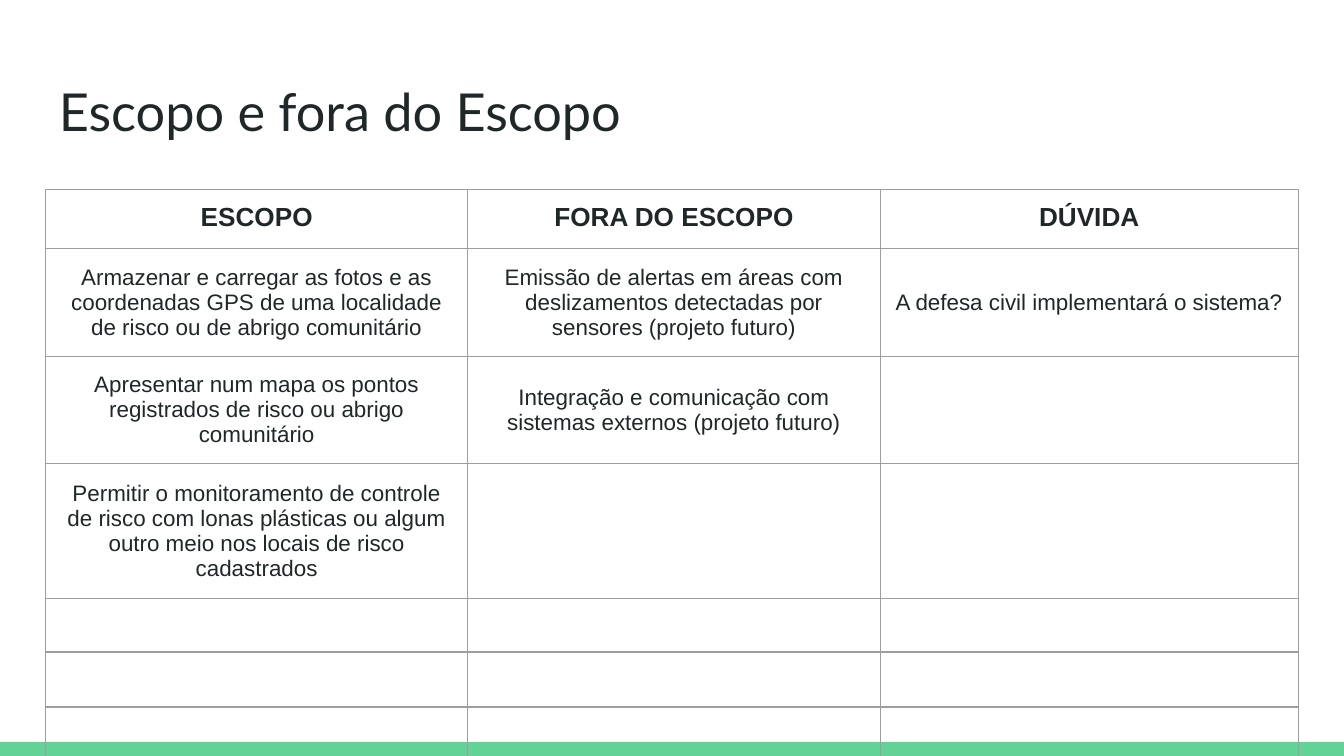
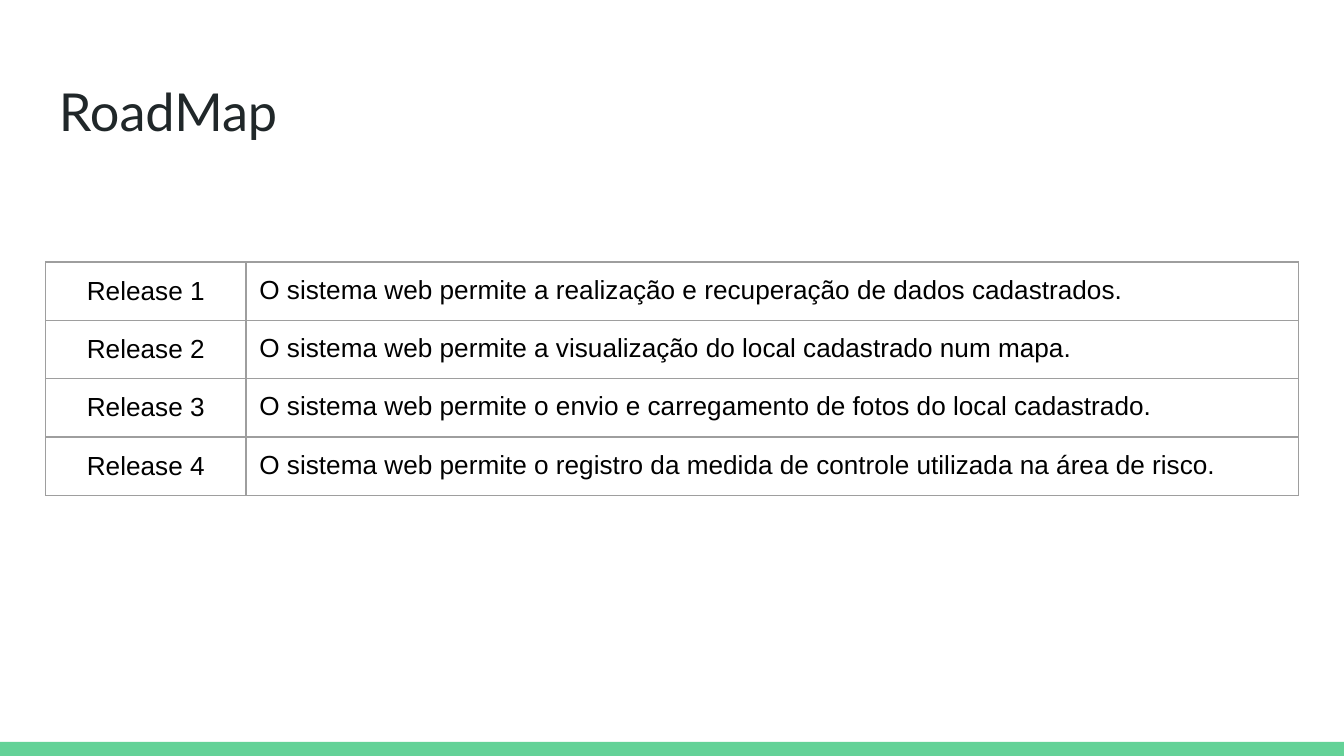
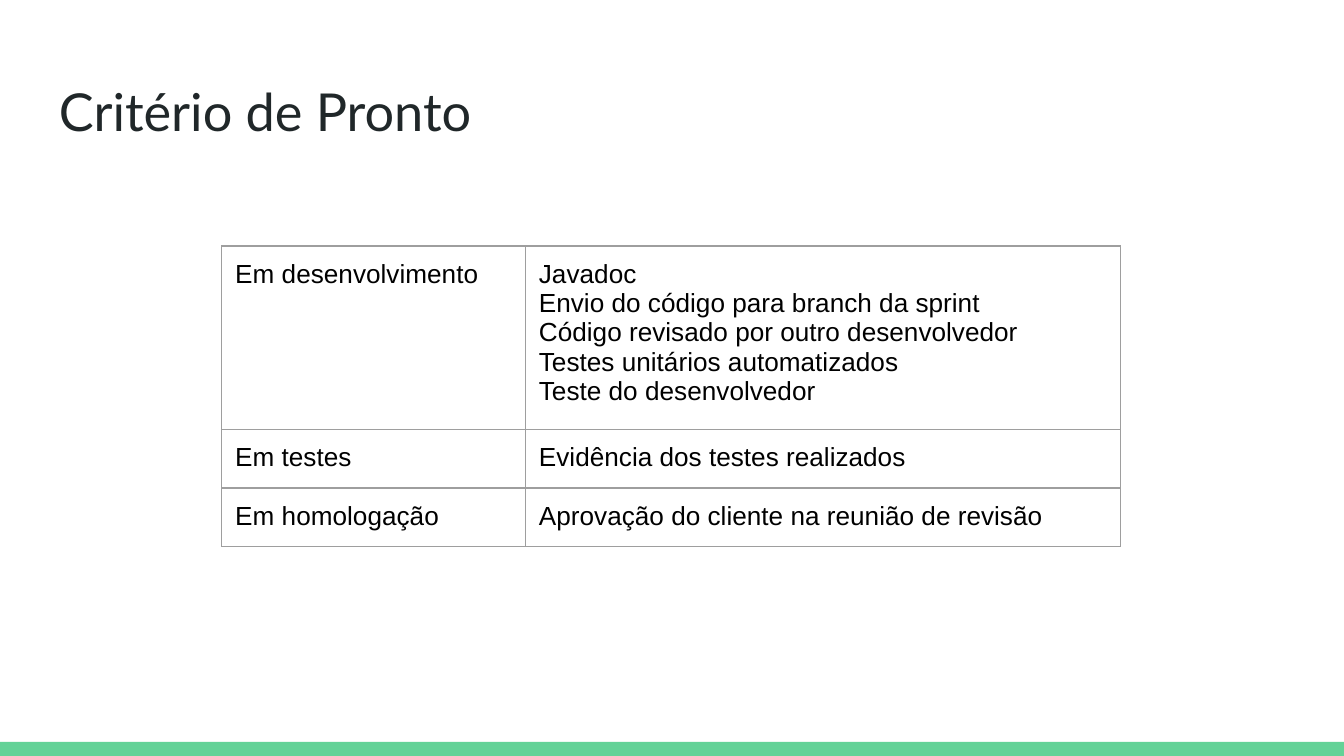
from dataclasses import dataclass

from lxml.etree import SubElement
from pptx import Presentation
from pptx.dml.color import RGBColor as RGB
from pptx.enum.shapes import MSO_SHAPE as SHAPE
from pptx.enum.text import MSO_ANCHOR as ANCHOR, PP_ALIGN as ALIGN
from pptx.oxml.ns import qn
from pptx.util import Inches, Pt


@dataclass(frozen=True)
class Theme:
    paper: str = "FFFFFF"
    band: str = "63D297"
    ink: str = "202729"
    black: str = "000000"
    rule: str = "9E9E9E"
    rule_width: float = 0.75
    title_font: str = "Lato"
    body_font: str = "Arial"
    title_size: int = 28
    body_size: int = 14
    small_size: int = 12


class Deck:
    COLS, ROWS = 100, 56.25
    LEFT, WIDTH = 3.4, 93.2
    INSET = 1

    def __init__(self, theme):
        self.theme = theme
        self.prs = Presentation()
        self.prs.slide_width = self.grid(self.COLS)
        self.prs.slide_height = self.grid(self.ROWS)
        self.s = None

    def grid(self, units):
        return Inches(units / 10)

    def box(self, *units):
        return [self.grid(u) for u in units]

    def slide(self, title):
        self.s = self.prs.slides.add_slide(self.prs.slide_layouts[6])
        fill = self.s.background.fill
        fill.solid()
        fill.fore_color.rgb = RGB.from_string(self.theme.paper)
        self.band(1.05)
        self.title(title)

    def band(self, height):
        sp = self.s.shapes.add_shape(
            SHAPE.RECTANGLE, *self.box(0, self.ROWS - height, self.COLS, height))
        sp.shadow.inherit = False
        sp.fill.solid()
        sp.fill.fore_color.rgb = RGB.from_string(self.theme.band)
        sp.line.fill.background()

    def title(self, text):
        t = self.theme
        sp = self.s.shapes.add_textbox(*self.box(self.LEFT, 4.9, self.WIDTH, 6.3))
        tf = sp.text_frame
        tf.word_wrap = True
        self.insets(tf)
        tf.text = text
        self.style(tf.paragraphs[0], t.title_font, t.title_size, t.ink)

    def insets(self, target):
        for side in ("left", "right", "top", "bottom"):
            setattr(target, f"margin_{side}", self.grid(self.INSET))

    def style(self, p, name, size, color, bold=False, align=ALIGN.LEFT):
        p.alignment = align
        p.font.name = name
        p.font.size = Pt(size)
        p.font.bold = bold
        p.font.color.rgb = RGB.from_string(color)
        if not p.runs:
            p._p.get_or_add_endParaRPr().set("sz", str(size * 100))

    def borders(self, cell):
        tcPr = cell._tc.get_or_add_tcPr()
        for side in ("lnL", "lnR", "lnT", "lnB"):
            ln = SubElement(tcPr, qn(f"a:{side}"), w=str(Pt(self.theme.rule_width)))
            fill = SubElement(ln, qn("a:solidFill"))
            SubElement(fill, qn("a:srgbClr"), val=self.theme.rule)

    def cell(self, cell, text, anchor, **look):
        self.borders(cell)
        cell.fill.background()
        self.insets(cell)
        cell.vertical_anchor = anchor
        cell.text = text
        for p in cell.text_frame.paragraphs:
            self.style(p, self.theme.body_font, **look)

    def table(self, left, top, widths, heights, rows, look):
        frame = self.s.shapes.add_table(
            len(heights), len(widths),
            *self.box(left, top, sum(widths), sum(heights)))
        table = frame.table
        table.first_row = table.horz_banding = False
        for column, width in zip(table.columns, widths):
            column.width = self.grid(width)
        for row, height in zip(table.rows, heights):
            row.height = self.grid(height)
        for i in range(len(heights)):
            texts = rows[i] if i < len(rows) else ()
            for j in range(len(widths)):
                text = texts[j] if j < len(texts) else ""
                self.cell(table.cell(i, j), text, **look(i, j))


def scope(deck):
    t = deck.theme

    def look(i, j):
        header = i == 0
        return dict(anchor=ANCHOR.TOP if header else ANCHOR.MIDDLE,
                    size=t.body_size if header else t.small_size,
                    color=t.ink, bold=header, align=ALIGN.CENTER)

    deck.slide("Escopo e fora do Escopo")
    deck.table(deck.LEFT, 14.1, (31.4, 30.7, 31.1),
               (4.4, 7.6, 7.6, 9.45, 3.85, 4.1, 4.1), (
        ("ESCOPO", "FORA DO ESCOPO", "DÚVIDA"),
        ("Armazenar e carregar as fotos e as coordenadas GPS de uma localidade "
         "de risco ou de abrigo comunitário",
         "Emissão de alertas em áreas com deslizamentos detectadas por sensores "
         "(projeto futuro)",
         "A defesa civil implementará o sistema?"),
        ("Apresentar num mapa os pontos registrados de risco ou abrigo comunitário",
         "Integração e comunicação com sistemas externos (projeto futuro)"),
        ("Permitir o monitoramento de controle de risco com lonas plásticas ou "
         "algum outro meio nos locais de risco cadastrados",),
    ), look)


def roadmap(deck):
    t = deck.theme

    def look(i, j):
        label = j == 0
        return dict(anchor=ANCHOR.MIDDLE if label else ANCHOR.TOP,
                    size=t.body_size, color=t.black,
                    align=ALIGN.CENTER if label else ALIGN.LEFT)

    goals = (
        "a realização e recuperação de dados cadastrados.",
        "a visualização do local cadastrado num mapa.",
        "o envio e carregamento de fotos do local cadastrado.",
        "o registro da medida de controle utilizada na área de risco.",
    )
    rows = [(f"Release {n}", f"O sistema web permite {goal}")
            for n, goal in enumerate(goals, 1)]
    deck.slide("RoadMap")
    deck.table(deck.LEFT, 19.5, (14.9, 78.3), (4.2, 4.2, 4.3, 4.3), rows, look)


def done_criteria(deck):
    t = deck.theme

    def look(i, j):
        return dict(anchor=ANCHOR.TOP, size=t.body_size, color=t.black)

    deck.slide("Critério de Pronto")
    deck.table(16.5, 18.3, (22.6, 44.3), (12.9, 4.2, 4.2), (
        ("Em desenvolvimento", "\n".join((
            "Javadoc",
            "Envio do código para branch da sprint",
            "Código revisado por outro desenvolvedor",
            "Testes unitários automatizados",
            "Teste do desenvolvedor"))),
        ("Em testes", "Evidência dos testes realizados"),
        ("Em homologação", "Aprovação do cliente na reunião de revisão"),
    ), look)


def main():
    deck = Deck(Theme())
    for build in (scope, roadmap, done_criteria):
        build(deck)
    deck.prs.save("out.pptx")


if __name__ == "__main__":
    main()
